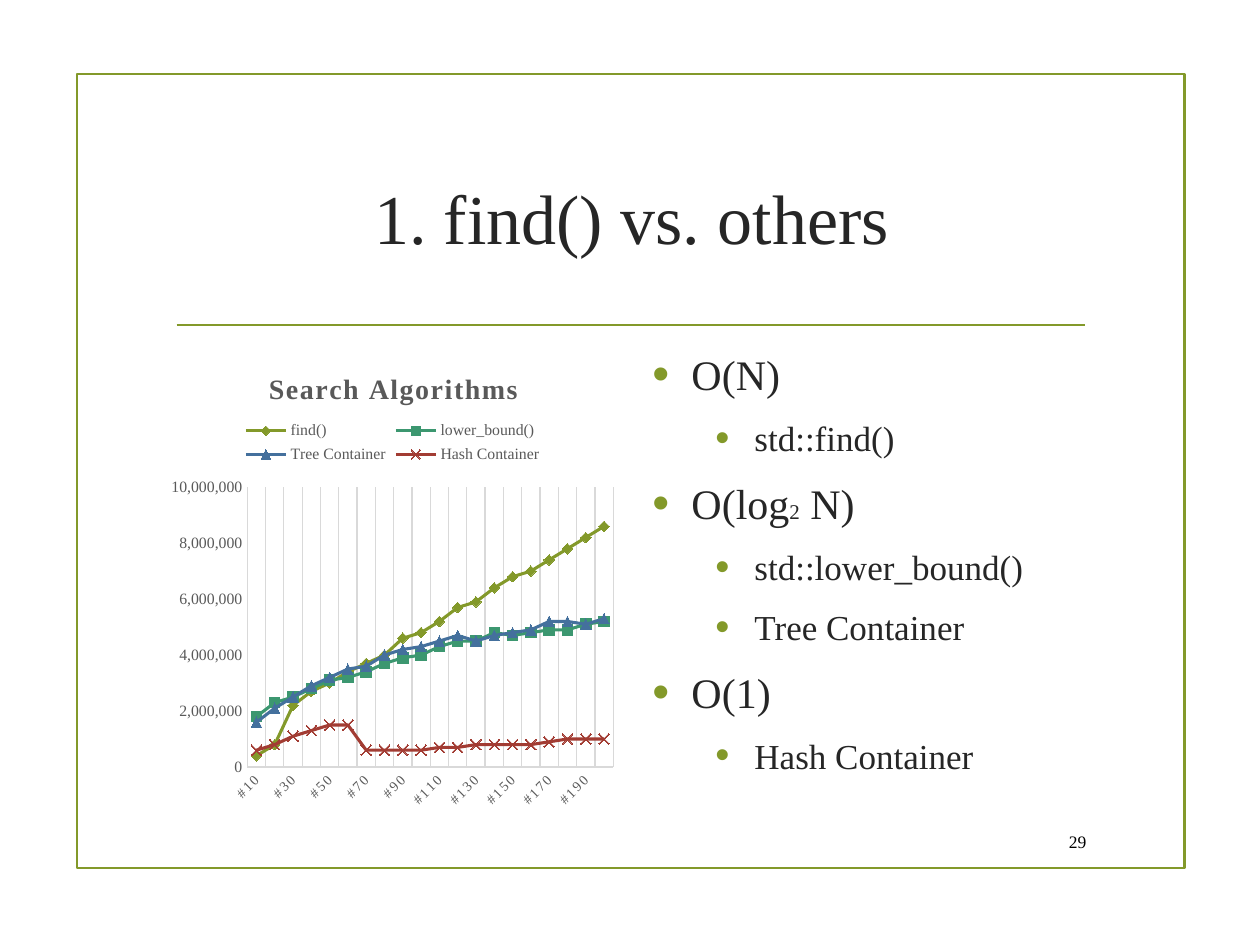
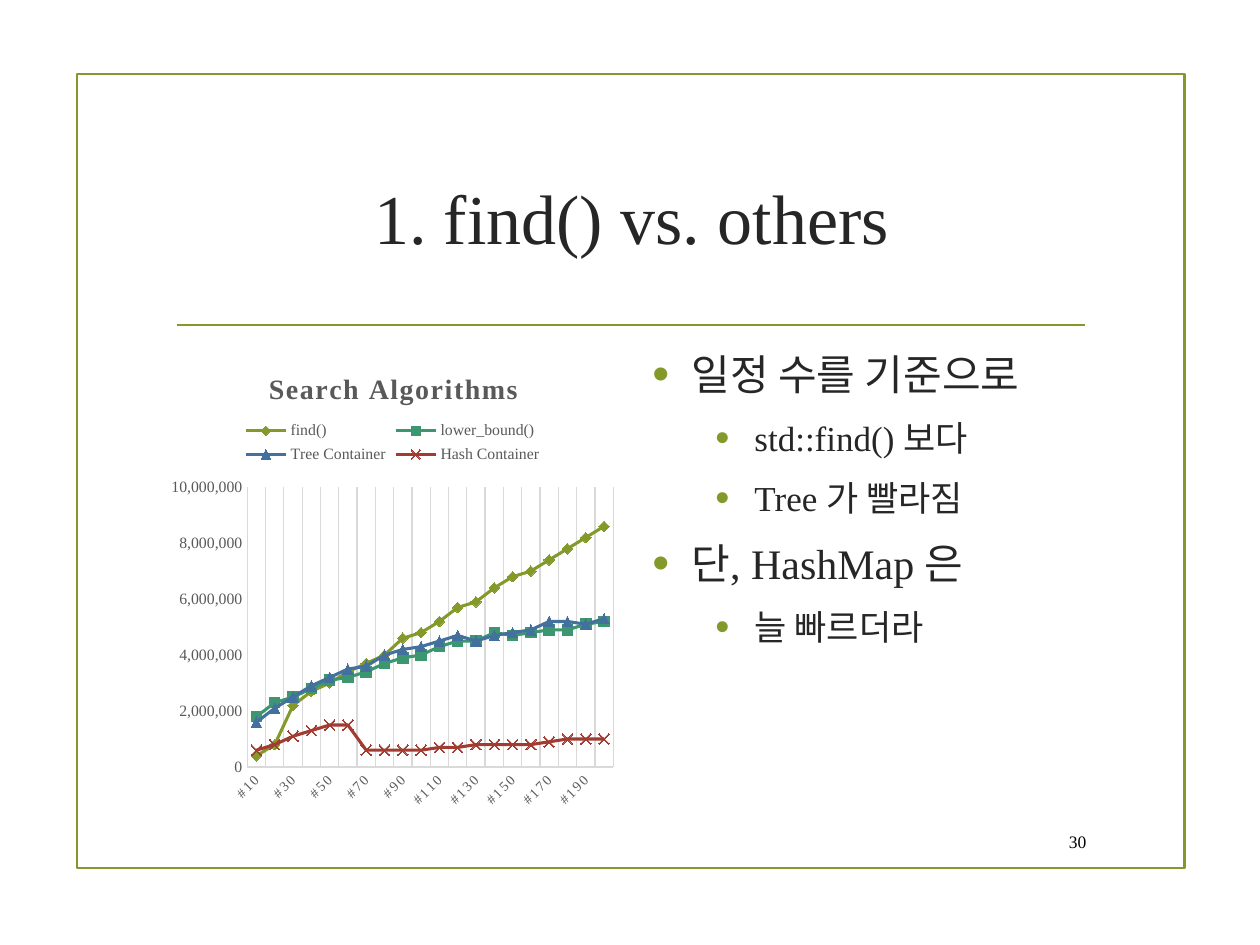
import pptx
import pptx.chart.data
import pptx.dml.color
import pptx.enum.chart
import pptx.enum.shapes
import pptx.enum.text
import pptx.oxml.ns
import pptx.util
from dataclasses import dataclass
from lxml import etree

Cm, Pt = pptx.util.Cm, pptx.util.Pt
qn = pptx.oxml.ns.qn
Marker = pptx.enum.chart.XL_MARKER_STYLE
Align = pptx.enum.text.PP_ALIGN
Anchor = pptx.enum.text.MSO_ANCHOR

# Content: bullets are (level, text runs); a run is (text, size or None)
TITLE = "1. find() vs. others"
PAGES = [
    {"number": "29", "bullets": [
        (0, [("O(N)", None)]),
        (1, [("std::find()", None)]),
        (0, [("O(log", None), ("2", 12), (" N)", None)]),
        (1, [("std::lower_bound()", None)]),
        (1, [("Tree Container", None)]),
        (0, [("O(1)", None)]),
        (1, [("Hash Container", None)]),
    ]},
    {"number": "30", "bullets": [
        (0, [("일정 수를 기준으로", None)]),
        (1, [("std::find() 보다", None)]),
        (1, [("Tree 가 빨라짐", None)]),
        (0, [("단, HashMap 은", None)]),
        (1, [("늘 빠르더라", None)]),
    ]},
]

# Chart: values in units of 100,000
CHART_TITLE = "Search Algorithms"
UNIT = 100_000
CATEGORIES = [f"#{count}" for count in range(10, 201, 10)]
SERIES = [
    ("find()", "83992A", Marker.DIAMOND,
     [4, 8, 22, 27, 30, 34, 37, 40, 46, 48, 52, 57, 59, 64, 68, 70, 74, 78, 82, 86]),
    ("lower_bound()", "3C9770", Marker.SQUARE,
     [18, 23, 25, 28, 31, 32, 34, 37, 39, 40, 43, 45, 45, 48, 47, 48, 49, 49, 51, 52]),
    ("Tree Container", "44709D", Marker.TRIANGLE,
     [16, 21, 25, 29, 32, 35, 36, 40, 42, 43, 45, 47, 45, 47, 48, 49, 52, 52, 51, 53]),
    ("Hash Container", "A23C33", Marker.X,
     [6, 8, 11, 13, 15, 15, 6, 6, 6, 6, 7, 7, 8, 8, 8, 8, 9, 10, 10, 10]),
]


@dataclass(frozen=True)
class Theme:
    font: str = "Times New Roman"
    accent: str = "83992A"
    ink: str = "262626"
    black: str = "000000"
    chart_ink: str = "595959"
    grid: str = "D9D9D9"
    title: int = 40
    levels: tuple = (24, 20)
    number: int = 10
    chart_title: int = 16
    legend: int = 9
    values: int = 9
    categories: int = 8


THEME = Theme()

# Places: left, top, width, height
FRAME = (Cm(1.55), Cm(1.5), Cm(22.33), Cm(16))
RULE = (Cm(3.56), Cm(6.55), Cm(21.87), Cm(6.55))
TITLE_BOX = (Cm(3.28), Cm(2.54), Cm(18.9), Cm(3.63))
CHART_BOX = (Cm(3.28), Cm(6.91), Cm(9.27), Cm(9.58))
BULLET_BOX = (Cm(12.9), Cm(6.91), Cm(9.27), Cm(9.58))
NUMBER_BOX = (Cm(21.06), Cm(16.56), Cm(1.09), Cm(0.79))
INDENTS = (Cm(0.79), Cm(2.06))
HANGING = Cm(0.79)


def rgb(code):
    return pptx.dml.color.RGBColor.from_string(code)


def style_font(font, size, color, bold=False):
    font.name, font.size, font.bold = THEME.font, Pt(size), bold
    font.color.rgb = rgb(color)


def style_line(line, color, width):
    line.color.rgb = rgb(color)
    line.width = Pt(width)


def add_text(page, place, paragraphs, *, sizes, color=THEME.ink,
             align=Align.LEFT, anchor=Anchor.TOP, bullets=False):
    """Write (level, runs) paragraphs into a text box."""
    frame = page.shapes.add_textbox(*place).text_frame
    frame.word_wrap = True
    frame.vertical_anchor = anchor
    for index, (level, runs) in enumerate(paragraphs):
        para = frame.paragraphs[0] if index == 0 else frame.add_paragraph()
        para.alignment = align
        for text, size in runs:
            span = para.add_run()
            span.text = text
            style_font(span.font, size or sizes[level], color)
        if bullets:
            add_bullet(para, level)


def add_bullet(para, level):
    para.level = level
    para.space_after = Pt(6)
    props = para._p.get_or_add_pPr()
    props.set("marL", str(INDENTS[level]))
    props.set("indent", str(-HANGING))
    before = etree.Element(qn("a:spcBef"))
    etree.SubElement(before, qn("a:spcPct"), val="20000")
    props.insert(0, before)
    bullet_color = etree.SubElement(props, qn("a:buClr"))
    etree.SubElement(bullet_color, qn("a:srgbClr"), val=THEME.accent)
    etree.SubElement(props, qn("a:buSzPct"), val="115000")
    etree.SubElement(props, qn("a:buFont"), typeface="Arial")
    etree.SubElement(props, qn("a:buChar"), char="•")


def set_layout(element, index, **parts):
    """Place a chart part by fractions of the chart area."""
    for old in element.findall(qn("c:layout")):
        element.remove(old)
    layout = etree.Element(qn("c:layout"))
    manual = etree.SubElement(layout, qn("c:manualLayout"))
    if "target" in parts:
        etree.SubElement(manual, qn("c:layoutTarget"), val=parts["target"])
    for axis in "xy":
        etree.SubElement(manual, qn(f"c:{axis}Mode"), val="edge")
    for key in "xywh":
        if key in parts:
            etree.SubElement(manual, qn(f"c:{key}"), val=str(parts[key]))
    element.insert(index, layout)


def add_search_chart(page):
    data = pptx.chart.data.CategoryChartData(number_format="#,##0")
    data.categories = CATEGORIES
    for name, _, _, values in SERIES:
        data.add_series(name, [value * UNIT for value in values])
    chart = page.shapes.add_chart(
        pptx.enum.chart.XL_CHART_TYPE.LINE_MARKERS, *CHART_BOX, data).chart
    style_font(chart.font, 10, THEME.black)

    # Title
    chart.has_title = True
    para = chart.chart_title.text_frame.paragraphs[0]
    span = para.add_run()
    span.text = CHART_TITLE
    style_font(span.font, THEME.chart_title, THEME.chart_ink, bold=True)
    span._r.get_or_add_rPr().set("spc", "100")
    set_layout(chart.chart_title._element, 1, x=0.22, y=0.05)

    # Legend
    chart.has_legend = True
    chart.legend.position = pptx.enum.chart.XL_LEGEND_POSITION.TOP
    chart.legend.include_in_layout = False
    style_font(chart.legend.font, THEME.legend, THEME.chart_ink)
    set_layout(chart.legend._element, 1, x=0.17, y=0.155, w=0.66, h=0.11)

    # Series
    chart.plots[0].vary_by_categories = False
    for series, (_, color, marker, _) in zip(chart.plots[0].series, SERIES):
        series.smooth = False
        style_line(series.format.line, color, 1.75)
        series.marker.style = marker
        series.marker.size = 6
        if marker == Marker.X:
            series.marker.format.fill.background()
        else:
            series.marker.format.fill.solid()
            series.marker.format.fill.fore_color.rgb = rgb(color)
        style_line(series.marker.format.line, color, 0.75)

    # Axes
    for axis, size in ((chart.category_axis, THEME.categories),
                       (chart.value_axis, THEME.values)):
        axis.major_tick_mark = pptx.enum.chart.XL_TICK_MARK.NONE
        axis.minor_tick_mark = pptx.enum.chart.XL_TICK_MARK.NONE
        style_font(axis.tick_labels.font, size, THEME.chart_ink)
        style_line(axis.format.line, THEME.grid, 0.75)
    chart.category_axis.has_major_gridlines = True
    style_line(chart.category_axis.major_gridlines.format.line, THEME.grid, 0.75)
    label_text = chart.category_axis._element.find(qn("c:txPr"))
    label_text.find(qn("a:bodyPr")).set("rot", "-2700000")
    label_text.find(".//" + qn("a:defRPr")).set("spc", "100")
    values = chart.value_axis
    values.has_major_gridlines = False
    values.minimum_scale, values.maximum_scale = 0, 10_000_000
    values.major_unit = 2_000_000
    values.tick_labels.number_format = "#,##0"
    values.tick_labels.number_format_is_linked = False
    plot_area = chart._chartSpace.find(".//" + qn("c:plotArea"))
    set_layout(plot_area, 0, target="inner", x=0.184, y=0.304, w=0.796, h=0.589)


def add_page(deck, number, bullets):
    page = deck.slides.add_slide(deck.slide_layouts[6])

    # Frame and rule
    frame = page.shapes.add_shape(
        pptx.enum.shapes.MSO_SHAPE.RECTANGLE, *FRAME)
    frame.shadow.inherit = False
    frame.fill.background()
    style_line(frame.line, THEME.accent, 1.25)
    rule = page.shapes.add_connector(
        pptx.enum.shapes.MSO_CONNECTOR.STRAIGHT, *RULE)
    style_line(rule.line, THEME.accent, 1.25)
    etree.SubElement(rule._element.spPr, qn("a:effectLst"))

    # Title, bullets, chart and page number
    add_text(page, TITLE_BOX, [(0, [(TITLE, None)])], sizes=[THEME.title],
             align=Align.CENTER, anchor=Anchor.MIDDLE)
    add_text(page, BULLET_BOX, bullets, sizes=THEME.levels, bullets=True)
    add_search_chart(page)
    add_text(page, NUMBER_BOX, [(0, [(number, None)])], sizes=[THEME.number],
             color=THEME.black, align=Align.RIGHT, anchor=Anchor.MIDDLE)


def main():
    deck = pptx.Presentation()
    deck.slide_width, deck.slide_height = Cm(25.4), Cm(19.05)
    for content in PAGES:
        add_page(deck, **content)
    deck.save("out.pptx")


if __name__ == "__main__":
    main()
